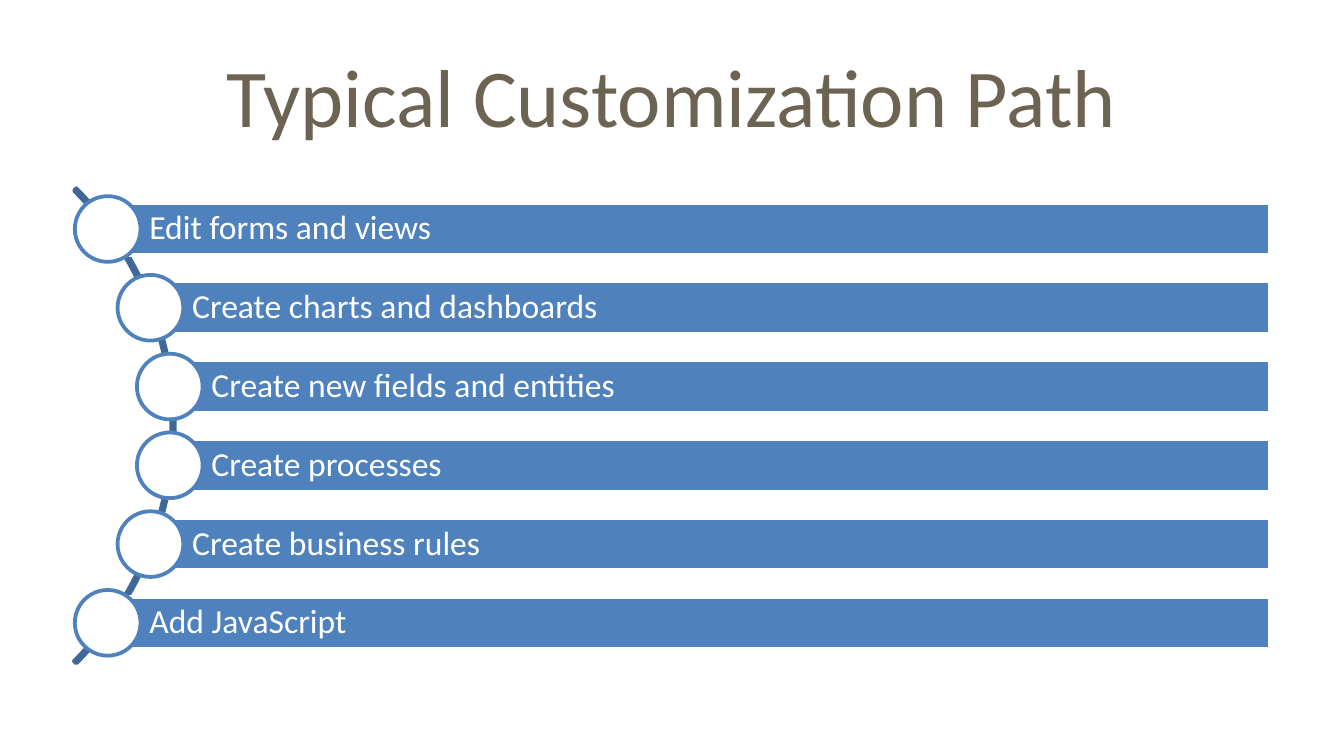
from math import sqrt

from pptx import Presentation
from pptx.dml.color import RGBColor
from pptx.enum.shapes import MSO_SHAPE as Shape
from pptx.enum.text import MSO_ANCHOR as Anchor, MSO_AUTO_SIZE as AutoSize, PP_ALIGN as Align
from pptx.util import Pt

STEPS = [
    "Edit forms and views",
    "Create charts and dashboards",
    "Create new fields and entities",
    "Create processes",
    "Create business rules",
    "Add JavaScript",
]
ARC_X, ARC_Y, ARC_SIZE = -86.4, 228.2, 360
NODE_RADIUS = 178.6
STEP_GAP = 42.2
BAR_RIGHT, BAR_HEIGHT, NODE_SIZE = 680.4, 28.1, 35.2


def color(value):
    return RGBColor.from_string(value)


class PathSlide:
    font_name = "Calibri"
    blue, dark_blue, white, brown = "4F81BD", "3F6797", "FFFFFF", "6C6352"
    line_width = 2

    def __init__(self, deck):
        self.page = deck.slides.add_slide(deck.slide_layouts[5])

    def style_text(self, para, size, fill, align):
        para.alignment = align
        para.font.name = self.font_name
        para.font.size = Pt(size)
        para.font.color.rgb = color(fill)

    def title(self, text, left, top, width, height):
        box = self.page.shapes.title
        box.left, box.top, box.width, box.height = map(Pt, (left, top, width, height))
        frame = box.text_frame
        frame.text = text
        frame.auto_size = AutoSize.NONE
        frame.vertical_anchor = Anchor.MIDDLE
        self.style_text(frame.paragraphs[0], 44, self.brown, Align.CENTER)

    def shape(self, kind, left, top, width, height, fill, line):
        shape = self.page.shapes.add_shape(kind, *map(Pt, (left, top, width, height)))
        shape.shadow.inherit = False
        if fill:
            shape.fill.solid()
            shape.fill.fore_color.rgb = color(fill)
        else:
            shape.fill.background()
        shape.line.color.rgb = color(line)
        shape.line.width = Pt(self.line_width)
        return shape

    def arc(self, center_x, center_y, size):
        arc = self.shape(Shape.BLOCK_ARC, center_x - size / 2, center_y - size / 2,
                         size, size, None, self.dark_blue)
        for index, value in enumerate((189, 27, 0.005)):
            arc.adjustments[index] = value

    def bar(self, text, left, middle):
        bar = self.shape(Shape.RECTANGLE, left, middle - BAR_HEIGHT / 2,
                         BAR_RIGHT - left, BAR_HEIGHT, self.blue, self.white)
        frame = bar.text_frame
        frame.text = text
        frame.word_wrap = True
        frame.vertical_anchor = Anchor.MIDDLE
        frame.margin_left = Pt(22.3)
        frame.margin_right = frame.margin_top = frame.margin_bottom = Pt(3.6)
        para = frame.paragraphs[0]
        para.line_spacing = 0.9
        self.style_text(para, 18, self.white, Align.LEFT)

    def node(self, center_x, center_y):
        self.shape(Shape.OVAL, center_x - NODE_SIZE / 2, center_y - NODE_SIZE / 2,
                   NODE_SIZE, NODE_SIZE, self.white, self.blue)


def main():
    deck = Presentation()
    deck.slide_width, deck.slide_height = Pt(720), Pt(405)
    slide = PathSlide(deck)
    slide.title("Typical Customization Path", 36, 16.6, 648, 67.7)
    slide.arc(ARC_X, ARC_Y, ARC_SIZE)
    for index, step in enumerate(STEPS):
        offset = (index - (len(STEPS) - 1) / 2) * STEP_GAP
        node_x = ARC_X + sqrt(NODE_RADIUS ** 2 - offset ** 2)
        slide.bar(step, node_x, ARC_Y + offset)
        slide.node(node_x, ARC_Y + offset)
    deck.save("out.pptx")


if __name__ == "__main__":
    main()
